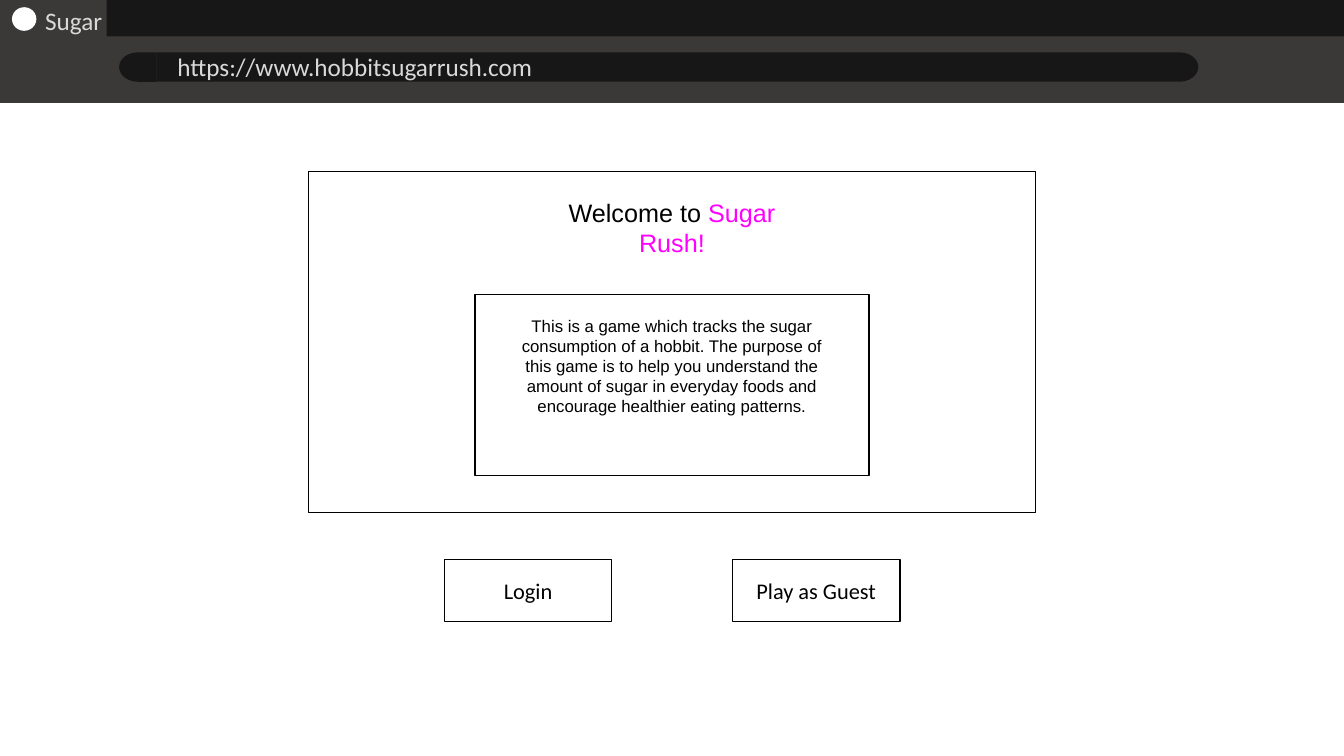
from pptx import Presentation
from pptx.dml.color import RGBColor
from pptx.enum.shapes import MSO_SHAPE
from pptx.enum.text import MSO_ANCHOR, PP_ALIGN
from pptx.util import Cm, Pt

PAGE_WIDTH, PAGE_HEIGHT = 33.87, 19.05
TOOLBAR, STRIP, LIGHT = "3B3838", "181717", "D9D9D9"
WHITE, BLACK, PINK = "FFFFFF", "000000", "FF00FF"


def color(hex_text):
    """Turn a hex string into a colour."""
    return RGBColor.from_string(hex_text)


def centered(width):
    """Return the left edge that centres a width on the page."""
    return (PAGE_WIDTH - width) / 2


def write(box, *parts, font="Arial", size=18, align=PP_ALIGN.CENTER, anchor=MSO_ANCHOR.TOP):
    """Write (text, colour) parts as one paragraph in a box."""
    frame = box.text_frame
    frame.word_wrap = True
    frame.vertical_anchor = anchor
    para = frame.paragraphs[0]
    para.alignment = align
    for text, hex_text in parts:
        span = para.add_run()
        span.text = text
        span.font.name = font
        span.font.size = Pt(size)
        span.font.color.rgb = color(hex_text)


class Painter:
    """Hold the current slide and the style of its elements."""

    def __init__(self, page):
        """Keep the slide to draw on."""
        self.page = page

    def shape(self, left, top, width, height, fill=WHITE, line=None, kind=MSO_SHAPE.RECTANGLE):
        """Add a flat preset shape, outlined if a line colour is given."""
        shape = self.page.shapes.add_shape(kind, Cm(left), Cm(top), Cm(width), Cm(height))
        shape.shadow.inherit = False
        shape.fill.solid()
        shape.fill.fore_color.rgb = color(fill)
        if line:
            shape.line.color.rgb = color(line)
            shape.line.width = Pt(1)
        else:
            shape.line.fill.background()
        return shape

    def label(self, text, left, top, width):
        """Add one line of light browser text."""
        box = self.page.shapes.add_textbox(Cm(left), Cm(top), Cm(width), Cm(1.02))
        write(box, (text, LIGHT), font="Calibri", align=PP_ALIGN.LEFT)

    def button(self, text, left):
        """Add an outlined button."""
        box = self.shape(left, 14.1, 4.22, 1.57, line=BLACK)
        write(box, (text, BLACK), font="Calibri", size=16, anchor=MSO_ANCHOR.MIDDLE)

    def card(self, top, width, height, line=None):
        """Add a white box centred across the page."""
        return self.shape(centered(width), top, width, height, line=line)

    def address_bar(self, left, top, width, height, cap):
        """Add a bar with a round cap at each end."""
        self.shape(left + cap, top, width - 2 * cap, height, STRIP)
        for cap_left, turn in ((left, 180), (left + width - cap, 0)):
            end = self.shape(cap_left, top, cap, height, STRIP, kind=MSO_SHAPE.FLOWCHART_DELAY)
            end.rotation = turn


deck = Presentation()
deck.slide_width, deck.slide_height = Cm(PAGE_WIDTH), Cm(PAGE_HEIGHT)
painter = Painter(deck.slides.add_slide(deck.slide_layouts[6]))

# Browser window
painter.shape(0, 0, PAGE_WIDTH, 2.59, TOOLBAR, TOOLBAR)
painter.shape(2.69, 0, PAGE_WIDTH - 2.69, 0.92, STRIP)
painter.address_bar(3, 1.32, 27.2, 0.74, cap=0.94)
painter.label("https://www.hobbitsugarrush.com", 4.22, 1.17, 23.04)
painter.shape(0.32, 0.2, 0.58, 0.56, line=WHITE, kind=MSO_SHAPE.FLOWCHART_CONNECTOR)
painter.label("Sugar", 0.89, 0, 6.93)

# Welcome panel
painter.card(4.32, 18.31, 8.59, BLACK)
title = painter.card(4.85, 7.42, 1.8)
write(title, ("Welcome to ", BLACK), ("Sugar Rush!", PINK))
painter.card(7.42, 9.93, 4.57, BLACK)
summary = painter.card(7.82, 8.38, 2.82)
write(summary, (
    "This is a game which tracks the sugar consumption of a hobbit. "
    "The purpose of this game is to help you understand the amount of sugar "
    "in everyday foods and encourage healthier eating patterns.", BLACK), size=12)

# Buttons
for index, caption in enumerate(("Login", "Play as Guest")):
    painter.button(caption, 11.2 + 7.26 * index)

deck.save("out.pptx")
